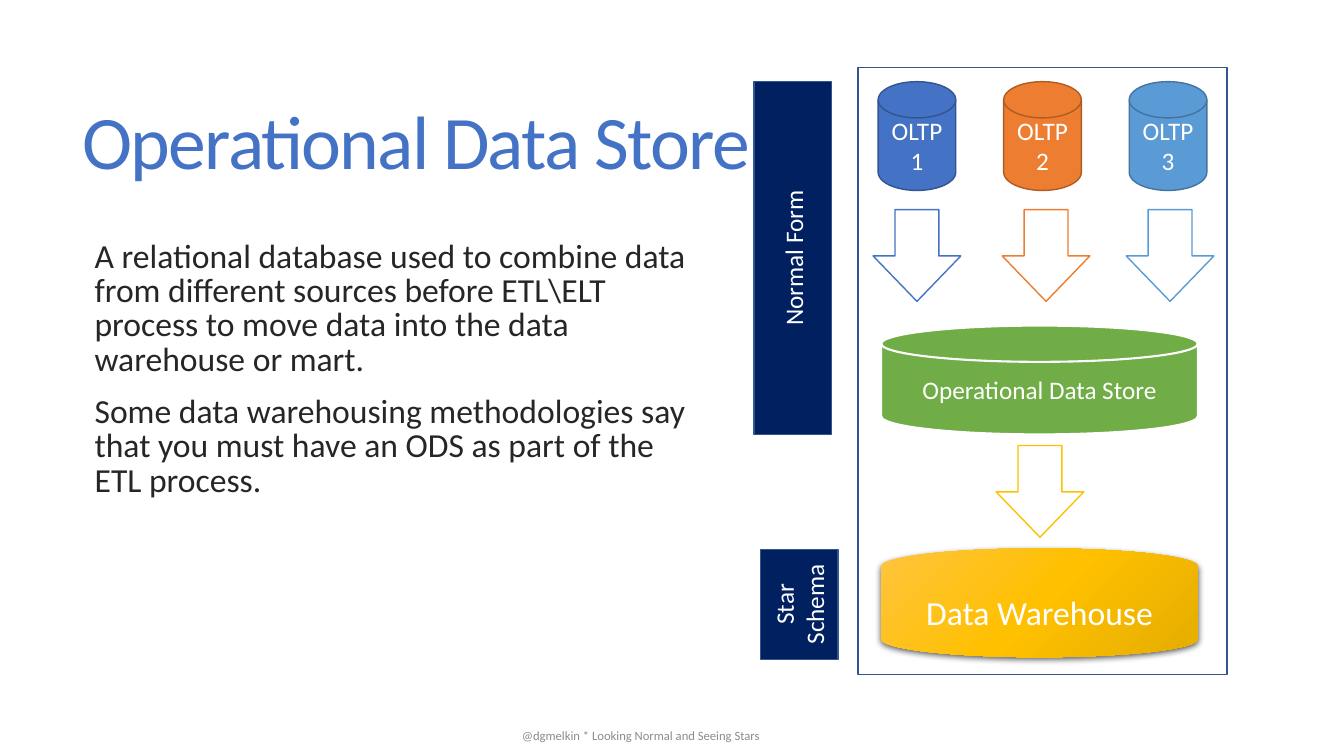
from copy import deepcopy

from lxml.etree import SubElement
from pptx import Presentation
from pptx.dml.color import RGBColor
from pptx.enum.shapes import MSO_SHAPE
from pptx.enum.text import MSO_ANCHOR, PP_ALIGN
from pptx.oxml.ns import qn
from pptx.util import Inches, Pt

THEME = {
    "font": "Calibri", "title": 54, "body": 24, "label": 18, "footer": 9,
    "white": "FFFFFF", "text": "262626", "muted": "8C8C8C",
    "navy": "002060", "edge": "325491", "blue": "4472C4",
    "orange": "ED7D31", "orange_edge": "AF5C24",
    "sky": "5B9BD5", "sky_edge": "43739E",
    "green": "70AD47", "gold": "FFC000",
    "gold_light": "FFC43E", "gold_dark": "E5AD00", "shadow": "000000",
}
# Grid of the diagram, in inches
COL = {"text": 0.74, "form": 7.48, "schema": 7.54, "frame": 8.51,
       "source": 8.71, "store": 8.74, "load": 9.88}
ROW = {"frame": 0.67, "source": 0.81, "extract": 2.08, "store": 3.23,
       "load": 4.42, "warehouse": 5.44}
SOURCE_PITCH = 1.245
DISK_W, DISK_H, STORE_W = 0.77, 1.08, 3.14
ARROW_W, ARROW_H = 0.87, 0.91


def rgb(name):
    return RGBColor.from_string(THEME[name])


def add_block(kind, box, fill=None, line=None, width=1, text="", size="label",
              color="white", align=PP_ALIGN.CENTER, anchor=MSO_ANCHOR.MIDDLE):
    """Add a shape, or a text box when kind is None; text is split into paragraphs by line."""
    box = [Inches(v) for v in box]
    if kind is None:
        sp = s.shapes.add_textbox(*box)
    else:
        sp = s.shapes.add_shape(kind, *box)
        sp.shadow.inherit = False
        if fill:
            sp.fill.solid()
            sp.fill.fore_color.rgb = rgb(fill)
        if line:
            sp.line.color.rgb = rgb(line)
            sp.line.width = Pt(width)
        else:
            sp.line.fill.background()
    tf = sp.text_frame
    tf.word_wrap = True
    tf.vertical_anchor = anchor
    tf.text = text
    for p in tf.paragraphs:
        p.alignment = align
        for r in p.runs:
            for key, value in {"name": THEME["font"], "size": Pt(THEME[size])}.items():
                setattr(r.font, key, value)
            r.font.color.rgb = rgb(color)
    return sp


prs = Presentation()
prs.slide_width, prs.slide_height = Inches(13.33), Inches(7.5)
s = prs.slides.add_slide(prs.slide_layouts[6])

# Footer, frame and title
add_block(None, (COL["text"], 7.1, 6.89, 0.4),
          text="@dgmelkin * Looking Normal and Seeing Stars",
          size="footer", color="muted", align=PP_ALIGN.RIGHT)
add_block(MSO_SHAPE.RECTANGLE, (COL["frame"], ROW["frame"], 3.66, 6.02), "white", "edge")
title = add_block(None, (0.72, 0.55, 11.78, 1.81), text="Operational Data Store",
                  size="title", color="blue", align=PP_ALIGN.LEFT)
p = title.text_frame.paragraphs[0]
p.line_spacing = 0.85
p.runs[0].font._element.set("spc", "-120")

# Body text
body = add_block(
    None, (COL["text"], 2.34, 6.3, 4.27), size="body", color="text",
    align=PP_ALIGN.LEFT, anchor=MSO_ANCHOR.TOP,
    text="A relational database used to combine data from different sources before "
         "ETL\\ELT process to move data into the data warehouse or mart.\n"
         "Some data warehousing methodologies say that you must have an ODS as part "
         "of the ETL process.")
for i, p in enumerate(body.text_frame.paragraphs):
    p._p.get_or_add_pPr().set("marL", str(Inches(0.1)))
    p.line_spacing = 0.85
    p.space_before = Pt(13 if i else 0)

# Data warehouse with gradient and shadow
warehouse = add_block(MSO_SHAPE.FLOWCHART_MAGNETIC_DISK,
                      (COL["store"], ROW["warehouse"], STORE_W, DISK_H),
                      text="Data Warehouse", size="body")
warehouse.fill.gradient()
warehouse.fill.gradient_angle = 315
gs_list = warehouse._element.spPr.find(".//" + qn("a:gsLst"))
gs_list.insert(1, deepcopy(gs_list[0]))
for stop, position, name in zip(warehouse.fill.gradient_stops, (0, 0.5, 1),
                                ("gold_light", "gold", "gold_dark")):
    stop.position = position
    stop.color.rgb = rgb(name)
effects = warehouse._element.spPr.find(qn("a:effectLst"))
shadow = SubElement(effects, qn("a:outerShdw"), blurRad=str(Pt(4.5)), dist=str(Pt(1.5)),
                    dir="5400000", algn="ctr", rotWithShape="0")
shade = SubElement(shadow, qn("a:srgbClr"), val=THEME["shadow"])
SubElement(shade, qn("a:alpha"), val="63000")

# Source systems and the operational data store
sources = [("blue", "edge", 8.66), ("orange", "orange_edge", 9.94), ("sky", "sky_edge", 11.17)]
for i, (fill, edge, _) in enumerate(sources):
    add_block(MSO_SHAPE.FLOWCHART_MAGNETIC_DISK,
              (COL["source"] + i * SOURCE_PITCH, ROW["source"], DISK_W, DISK_H),
              fill, edge, text=f"OLTP {i + 1}")
add_block(MSO_SHAPE.FLOWCHART_MAGNETIC_DISK, (COL["store"], ROW["store"], STORE_W, DISK_H),
          "green", "white", 1.5, "Operational Data Store")

# Arrows
arrows = [(x, ROW["extract"], color) for color, _, x in sources]
arrows.append((COL["load"], ROW["load"], "gold"))
for x, y, color in arrows:
    arrow = add_block(MSO_SHAPE.DOWN_ARROW, (x, y, ARROW_W, ARROW_H), "white", color)
    arrow.adjustments[1] = 0.518

# Side labels
for x, y, height, text in [(COL["form"], ROW["source"], 3.5, "Normal Form"),
                           (COL["schema"], 5.45, 1.09, "Star Schema")]:
    label = add_block(MSO_SHAPE.RECTANGLE, (x, y, DISK_W, height), "navy", "edge", text=text)
    label.text_frame._txBody.bodyPr.set("vert", "vert270")

prs.save("out.pptx")
